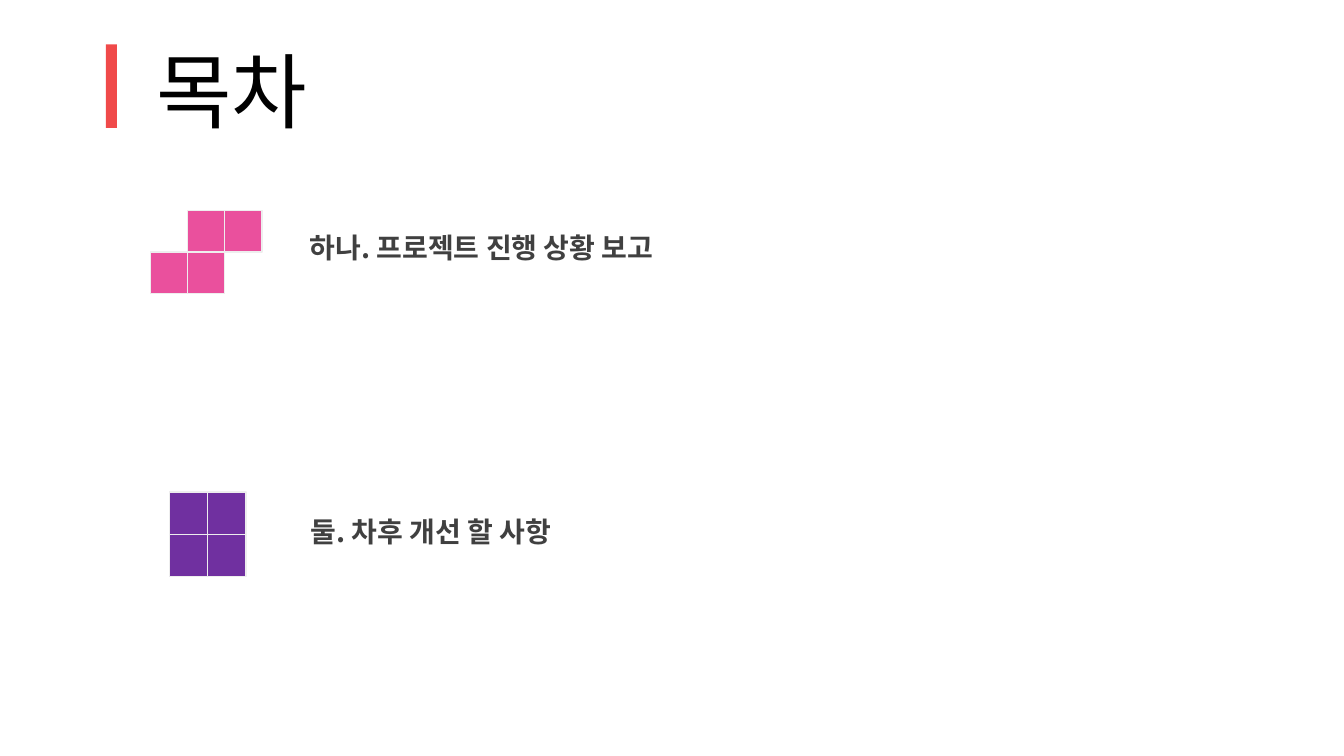
from pptx import Presentation
from pptx.dml.color import RGBColor as Rgb
from pptx.enum.shapes import MSO_SHAPE as Kind
from pptx.enum.text import MSO_ANCHOR as Anchor
from pptx.oxml.ns import qn
from pptx.util import Inches, Pt
from lxml.etree import SubElement as Sub

HUES = {"title": "000000", "body": "404040", "bar": "F04A4A",
        "pink": "EA509D", "plum": "7030A0", "edge": "EEEEEE"}
FONT = "Noto Sans CJK KR"
COLS, ROWS = 1333, 750


def write(frame, text, size=20, hue="body", bold=False, space=0.9):
    para = frame.paragraphs[0]
    para.line_spacing = space
    run = para.add_run()
    run.text = text
    font = run.font
    font.name, font.size, font.bold = FONT, Pt(size), bold
    font.color.rgb = Rgb.from_string(HUES[hue])
    Sub(font._element, qn("a:ea"), typeface=FONT)


class Deck:
    def __init__(self):
        self.file = Presentation()
        self.file.slide_width = Inches(13.33)
        self.file.slide_height = Inches(7.5)
        self.slide = self.file.slides.add_slide(self.file.slide_layouts[6])

    def place(self, col, row, wide, high):
        across = self.file.slide_width / COLS
        down = self.file.slide_height / ROWS
        return [round(n) for n in (col * across, row * down, wide * across, high * down)]

    def rect(self, box, hue, edge=None):
        shape = self.slide.shapes.add_shape(Kind.RECTANGLE, *self.place(*box))
        shape.shadow.inherit = False
        shape.fill.solid()
        shape.fill.fore_color.rgb = Rgb.from_string(HUES[hue])
        if edge:
            shape.line.color.rgb = Rgb.from_string(HUES[edge])
            shape.line.width = Pt(1)
        else:
            shape.line.fill.background()

    def text(self, box, words, anchor=Anchor.TOP, foot=0.05, **style):
        frame = self.slide.shapes.add_textbox(*self.place(*box)).text_frame
        frame.word_wrap = True
        frame.vertical_anchor = anchor
        frame.margin_bottom = Inches(foot)
        write(frame, words, **style)

    def tiles(self, left, top, wide, high, cells, hue):
        for col, row in cells:
            self.rect((left + col * wide, top + row * high, wide, high), hue, "edge")


def main():
    deck = Deck()
    deck.text((145, 16, 711, 123), "목차", Anchor.BOTTOM, 0, size=58.6, hue="title")
    deck.rect((105, 44, 11, 83), "bar")
    deck.text((297, 228, 401, 70), "하나. 프로젝트 진행 상황 보고", bold=True)
    deck.text((298, 509, 479, 70), "둘. 차후 개선 할 사항", bold=True)
    deck.tiles(149, 250, 37, 41, [(0, 0), (1, 0), (1, -1), (2, -1)], "pink")
    deck.tiles(168, 488, 38, 42, [(0, 0), (1, 0), (0, 1), (1, 1)], "plum")
    deck.file.save("out.pptx")


if __name__ == "__main__":
    main()
